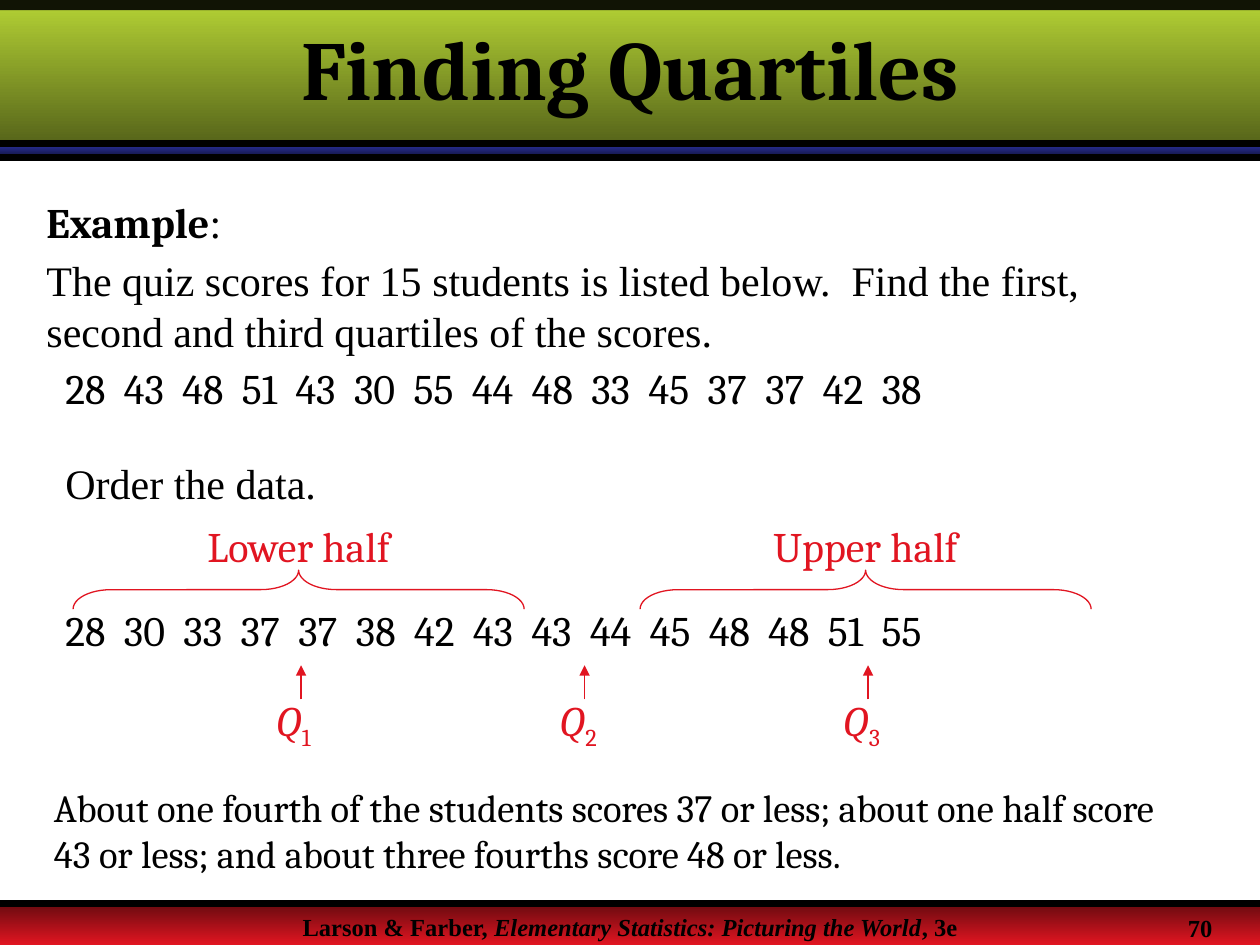
from lxml import etree
from pptx import Presentation
from pptx.dml.color import RGBColor
from pptx.enum.shapes import MSO_CONNECTOR as CONN, MSO_SHAPE as SHAPE
from pptx.enum.text import MSO_ANCHOR as ANCHOR, PP_ALIGN as ALIGN
from pptx.oxml.ns import qn
from pptx.util import Inches, Pt

BLACK = RGBColor(0x00, 0x00, 0x00)
RED = RGBColor(0xE1, 0x15, 0x21)
DARK_RED = RGBColor(0x68, 0x0A, 0x0F)
BLUE = RGBColor(0x24, 0x29, 0x85)
DARK_BLUE = RGBColor(0x11, 0x13, 0x3E)
GREEN = RGBColor(0xB5, 0xD3, 0x35)
DARK_GREEN = RGBColor(0x54, 0x62, 0x19)
SERIF = "Cambria"
ROMAN = "Times New Roman"

SCORES = [28, 43, 48, 51, 43, 30, 55, 44, 48, 33, 45, 37, 37, 42, 38]


def set_font(font, size, name, color=BLACK, bold=False):
    font.size = Pt(size)
    font.name = name
    font.color.rgb = color
    font.bold = bold


def add_text(shapes, left, top, width, height, text, size=24, name=SERIF,
             color=BLACK, bold=False, align=ALIGN.LEFT, wrap=True):
    sp = shapes.add_textbox(Inches(left), Inches(top), Inches(width), Inches(height))
    tf = sp.text_frame
    tf.word_wrap = wrap
    p = tf.paragraphs[0]
    p.text = text
    p.alignment = align
    set_font(p.font, size, name, color, bold)
    return tf


def add_line(shapes, x1, y1, x2, y2, color, width):
    line = shapes.add_connector(CONN.STRAIGHT, Inches(x1), Inches(y1), Inches(x2), Inches(y2))
    line.line.color.rgb = color
    line.line.width = Pt(width)
    etree.SubElement(line.element.spPr, qn("a:effectLst"))
    return line


def add_band(shapes, top, height, start=None, end=None):
    sp = shapes.add_shape(SHAPE.RECTANGLE, 0, Inches(top), Inches(10), Inches(height))
    sp.shadow.inherit = False
    sp.line.fill.background()
    if start is None:
        sp.fill.solid()
        sp.fill.fore_color.rgb = BLACK
        color = sp.element.spPr.find(".//" + qn("a:srgbClr"))
        etree.SubElement(color, qn("a:alpha"), val="90000")
        return
    sp.fill.gradient()
    sp.fill.gradient_angle = 270
    for stop, color in zip(sp.fill.gradient_stops, (start, end)):
        stop.color.rgb = color


def add_header(slide, title_text):
    shapes = slide.shapes
    add_band(shapes, 1.17, 0.08, BLUE, DARK_BLUE)
    add_band(shapes, 0, 1.17, GREEN, DARK_GREEN)
    add_band(shapes, 0, 0.08)
    for y in (1.14, 1.25):
        add_line(shapes, 0, y, 10, y, BLACK, 4)
    title = shapes.title
    title.left, title.top, title.width, title.height = 0, Inches(0.12), Inches(10), Inches(0.83)
    tf = title.text_frame
    tf.vertical_anchor = ANCHOR.MIDDLE
    p = tf.paragraphs[0]
    p.text = title_text
    p.alignment = ALIGN.CENTER
    set_font(p.font, 48, SERIF, bold=True)
    shapes.element.append(title.element)


def add_footer(shapes, top, number):
    add_band(shapes, top, 0.33, DARK_RED, RED)
    add_line(shapes, 0, top, 10, top, BLACK, 4)
    tf = add_text(shapes, 0, top + 0.02, 10, 0.2, "Larson & Farber, ", 14, ROMAN,
                  bold=True, align=ALIGN.CENTER)
    p = tf.paragraphs[0]
    for text, italic in (("Elementary Statistics: Picturing the World", True), (", 3e", False)):
        r = p.add_run()
        r.text = text
        r.font.italic = italic
    add_text(shapes, 9.33, top + 0.03, 1.08, 0.34, number, 14, ROMAN, bold=True, wrap=False)


def add_example(shapes, left, top):
    tf = add_text(shapes, left, top, 9.25, 1.37, "Example", name=ROMAN)
    p = tf.paragraphs[0]
    p.runs[0].font.name = SERIF
    p.runs[0].font.bold = True
    p.add_run().text = ":"
    p = tf.add_paragraph()
    p.text = ("The quiz scores for 15 students is listed below.  Find the first, "
              "second and third quartiles of the scores.")
    p.space_before = Pt(4.5)
    set_font(p.font, 24, ROMAN)


def add_scores(shapes, left, top, scores):
    add_text(shapes, left, top, 8.67, 0.5, "  ".join(str(score) for score in scores))


def add_half(shapes, left, top, label):
    group = shapes.add_group_shape().shapes
    length, depth = 3.58, 0.31
    center_x, center_y = left + 1.54, top + 0.6
    brace = group.add_shape(SHAPE.LEFT_BRACE, Inches(center_x - depth / 2),
                            Inches(center_y - length / 2), Inches(depth), Inches(length))
    brace.rotation = 90
    brace.adjustments[0] = 0.97
    brace.shadow.inherit = False
    brace.fill.background()
    brace.line.color.rgb = RED
    brace.line.width = Pt(0.75)
    add_text(group, left, top, 3.08, 0.5, label, color=RED, align=ALIGN.CENTER)


def add_quartile(shapes, left, top, number):
    group = shapes.add_group_shape().shapes
    tf = add_text(group, left, top, 0.56, 0.56, "Q", color=RED, wrap=False)
    p = tf.paragraphs[0]
    p.runs[0].font.italic = True
    r = p.add_run()
    r.text = str(number)
    r.font._element.set("baseline", "-25000")
    x = left + 0.3
    arrow = add_line(group, x, top + 0.09, x, top - 0.18, RED, 0.75)
    etree.SubElement(arrow.line._get_or_add_ln(), qn("a:tailEnd"), type="triangle")


def main():
    prs = Presentation()
    prs.slide_width, prs.slide_height = Inches(10), Inches(7.5)
    slide = prs.slides.add_slide(prs.slide_layouts[5])
    shapes = slide.shapes
    add_footer(shapes, 7.17, "70")
    add_header(slide, "Finding Quartiles")
    add_example(shapes, 0.27, 1.51)
    add_scores(shapes, 0.42, 2.83, SCORES)
    add_text(shapes, 0.42, 3.58, 2.19, 0.5, "Order the data.", name=ROMAN, wrap=False)
    add_scores(shapes, 0.42, 4.75, sorted(SCORES))
    for left, label in ((0.83, "Lower half"), (5.33, "Upper half")):
        add_half(shapes, left, 4.08, label)
    for number in (1, 2, 3):
        add_quartile(shapes, 2.09 + 2.25 * (number - 1), 5.46, number)
    add_text(shapes, 0.33, 6.17, 9.25, 0.84,
             "About one fourth of the students scores 37 or less; about one half score "
             "43 or less; and about three fourths score 48 or less.", 22)
    prs.save("out.pptx")


if __name__ == "__main__":
    main()
